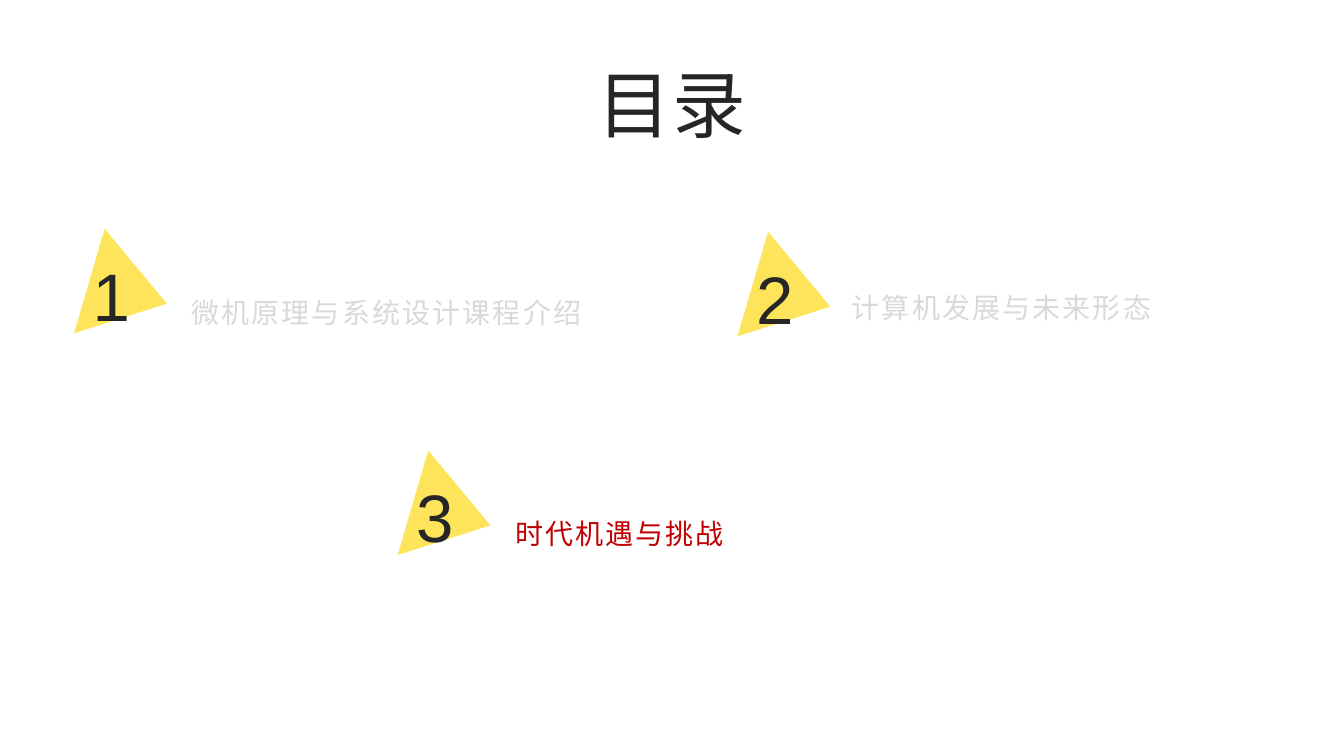
"""Build the contents slide with three numbered sections."""
import dataclasses

import pptx
import pptx.dml.color
import pptx.enum.shapes
import pptx.enum.text
import pptx.util

ANCHOR = pptx.enum.text.MSO_ANCHOR
ALIGN = pptx.enum.text.PP_ALIGN
WIDTH, HEIGHT = 13.33, 7.5


@dataclasses.dataclass(frozen=True)
class Theme:
    """Hold the colours, font and type sizes."""
    font: str = "Arial"
    ink: str = "262626"
    marker: str = "FDE45A"
    muted: str = "D9D9D9"
    active: str = "C00000"
    title_size: float = 52.6
    number_size: float = 48
    label_size: float = 20
    spacing: float = 1.5


THEME = Theme()


def rgb(colour):
    """Turn a hex string into a colour."""
    return pptx.dml.color.RGBColor.from_string(colour)


def box(left, top, width, height):
    """Turn inches into a position and size."""
    return [pptx.util.Inches(length) for length in (left, top, width, height)]


def write(holder, text, *, size, colour=THEME.ink, spacing=0.0,
          anchor=ANCHOR.TOP, align=ALIGN.LEFT, inset_top=0.05):
    """Write one formatted line of text into a shape."""
    frame = holder.text_frame
    frame.word_wrap = True
    frame.auto_size = pptx.enum.text.MSO_AUTO_SIZE.NONE
    frame.vertical_anchor = anchor
    frame.margin_top = pptx.util.Inches(inset_top)
    paragraph = frame.paragraphs[0]
    paragraph.alignment = align
    run = paragraph.add_run()
    run.text = text
    run.font.name = THEME.font
    run.font.size = pptx.util.Pt(size)
    run.font.color.rgb = rgb(colour)
    if spacing:
        run.font._element.set("spc", str(round(spacing * 100)))


def add_title(slide, text):
    """Place the heading in the title placeholder."""
    title = slide.shapes.title
    width = 0.13 * WIDTH
    title.left, title.top, title.width, title.height = box(
        (WIDTH - width) / 2, HEIGHT / 15, width, 1.01)
    write(title, text, size=THEME.title_size, spacing=THEME.spacing,
          anchor=ANCHOR.BOTTOM, align=ALIGN.CENTER)


def add_section(slide, number, label, left, top, label_shift, colour):
    """Group a tilted marker with its number and label."""
    parts = slide.shapes.add_group_shape().shapes
    marker = parts.add_shape(
        pptx.enum.shapes.MSO_SHAPE.ISOSCELES_TRIANGLE, *box(left, top, 1.08, 0.8))
    marker.rotation = 106.3
    marker.shadow.inherit = False
    marker.fill.solid()
    marker.fill.fore_color.rgb = rgb(THEME.marker)
    marker.line.fill.background()
    write(parts.add_textbox(*box(left + 0.09, top - 0.08, 0.91, 1.2)),
          str(number), size=THEME.number_size, inset_top=0.1)
    shift_x, shift_y = label_shift
    write(parts.add_textbox(*box(left + shift_x, top + shift_y, 4.17, 0.67)),
          label, size=THEME.label_size, colour=colour,
          spacing=THEME.spacing, anchor=ANCHOR.BOTTOM)


def main():
    """Assemble and save the slide."""
    deck = pptx.Presentation()
    deck.slide_width = pptx.util.Inches(WIDTH)
    deck.slide_height = pptx.util.Inches(HEIGHT)
    slide = deck.slides.add_slide(deck.slide_layouts[5])
    add_title(slide, "目录")
    sections = [
        ("微机原理与系统设计课程介绍", 0.73, 2.5, (1.07, 0.14), THEME.muted),
        ("计算机发展与未来形态", 7.31, 2.53, (1.04, 0.06), THEME.muted),
        ("时代机遇与挑战", 3.94, 4.7, (1.07, 0.14), THEME.active),
    ]
    for number, section in enumerate(sections, start=1):
        add_section(slide, number, *section)
    deck.save("out.pptx")


if __name__ == "__main__":
    main()
